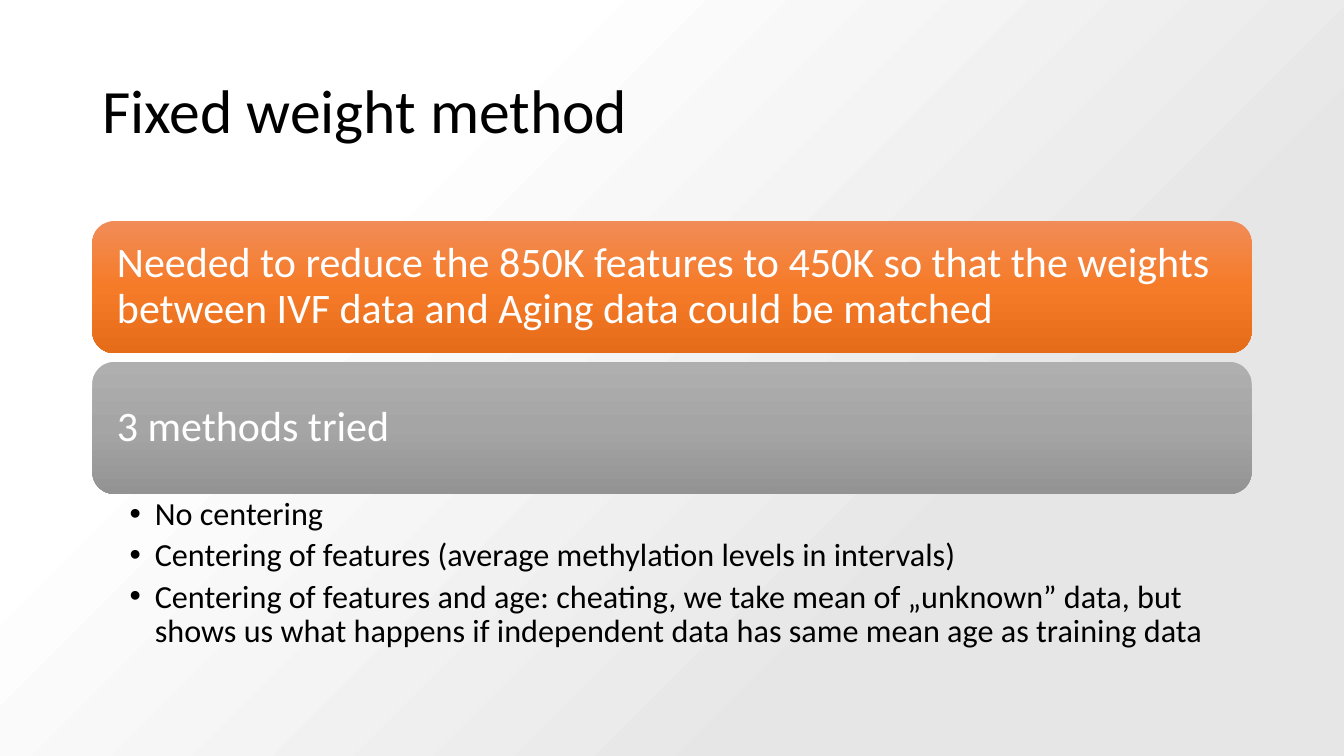
from lxml.etree import SubElement
from pptx import Presentation
from pptx.dml.color import RGBColor
from pptx.enum.shapes import MSO_SHAPE
from pptx.enum.text import MSO_ANCHOR, PP_ALIGN
from pptx.oxml.ns import qn
from pptx.util import Pt


def color(value):
    """Turn a hex string into a colour."""
    return RGBColor.from_string(value)


class SlideBuilder:
    """Hold the style and the current slide."""

    font = "Calibri"
    dark = "000000"
    light = "FFFFFF"
    line_spacing = 0.9

    def __init__(self, page):
        """Keep the slide to draw on."""
        self.page = page

    def gradient_shape(self, kind, left, top, width, height, stops, angle):
        """Add a borderless shape with a gradient of (percent, colour) stops."""
        shape = self.page.shapes.add_shape(kind, Pt(left), Pt(top), Pt(width), Pt(height))
        shape.shadow.inherit = False
        shape.line.fill.background()
        shape.fill.gradient()
        shape.fill.gradient_angle = angle
        stop_list = next(shape._element.spPr.iter(qn("a:gsLst")))
        for old_stop in list(stop_list):
            stop_list.remove(old_stop)
        for percent, value in stops:
            stop = SubElement(stop_list, qn("a:gs"), pos=str(percent * 1000))
            SubElement(stop, qn("a:srgbClr"), val=value)
        return shape

    def set_text(self, shape, text, size, value, anchor, margins):
        """Fill a shape with left-aligned text, one paragraph per line."""
        frame = shape.text_frame
        frame.text = text
        frame.word_wrap = True
        frame.vertical_anchor = anchor
        frame.margin_left, frame.margin_top, frame.margin_right, frame.margin_bottom = map(Pt, margins)
        for para in frame.paragraphs:
            para.alignment = PP_ALIGN.LEFT
            para.line_spacing = self.line_spacing
            for span in para.runs:
                span.font.name = self.font
                span.font.size = Pt(size)
                span.font.color.rgb = color(value)

    def text_box(self, left, top, width, height, text, size, anchor, margins):
        """Add a dark text box."""
        box = self.page.shapes.add_textbox(Pt(left), Pt(top), Pt(width), Pt(height))
        self.set_text(box, text, size, self.dark, anchor, margins)
        return box

    def banner(self, left, top, width, height, text, stops):
        """Add a rounded banner with light text."""
        shape = self.gradient_shape(MSO_SHAPE.ROUNDED_RECTANGLE, left, top, width, height, stops, 270)
        self.set_text(shape, text, 30, self.light, MSO_ANCHOR.MIDDLE, (13, 13, 13, 13))

    def bullets(self, left, top, width, height, items):
        """Add a bulleted list."""
        box = self.text_box(left, top, width, height, "\n".join(items), 23,
                            MSO_ANCHOR.TOP, (26.6, 2.9, 16.6, 2.9))
        for para in box.text_frame.paragraphs:
            para.space_after = Pt(4.6)
            properties = para._p.get_or_add_pPr()
            properties.set("marL", str(Pt(18)))
            properties.set("indent", str(-Pt(18)))
            SubElement(properties, qn("a:buFont"), typeface="Arial")
            SubElement(properties, qn("a:buChar"), char="•")


def main():
    """Build and save the slide."""
    deck = Presentation()
    deck.slide_width, deck.slide_height = Pt(960), Pt(540)
    builder = SlideBuilder(deck.slides.add_slide(deck.slide_layouts[6]))
    left, width = 66, 828
    banner_top, banner_height, banner_step = 157.9, 94.3, 100.6
    banners = [
        ("Needed to reduce the 850K features to 450K so that the weights "
         "between IVF data and Aging data could be matched",
         [(0, "F18C57"), (50, "F67B28"), (100, "E56C19")]),
        ("3 methods tried", [(0, "AFAFAF"), (50, "A5A5A5"), (100, "939393")]),
    ]

    builder.gradient_shape(MSO_SHAPE.RECTANGLE, 0, 0, 960, 540,
                           [(26, "FFFFFF"), (72, "E7E6E6")], 315)
    builder.text_box(left, 28.8, width, 104.4, "Fixed weight method", 44,
                     MSO_ANCHOR.MIDDLE, (7.2, 3.6, 7.2, 3.6))
    for index, (text, stops) in enumerate(banners):
        builder.banner(left, banner_top + index * banner_step, width, banner_height, text, stops)
    builder.bullets(left, 352.8, width, 119.5, [
        "No centering",
        "Centering of features (average methylation levels in intervals)",
        "Centering of features and age: cheating, we take mean of „unknown” data, "
        "but shows us what happens if independent data has same mean age as training data",
    ])
    deck.save("out.pptx")


if __name__ == "__main__":
    main()
